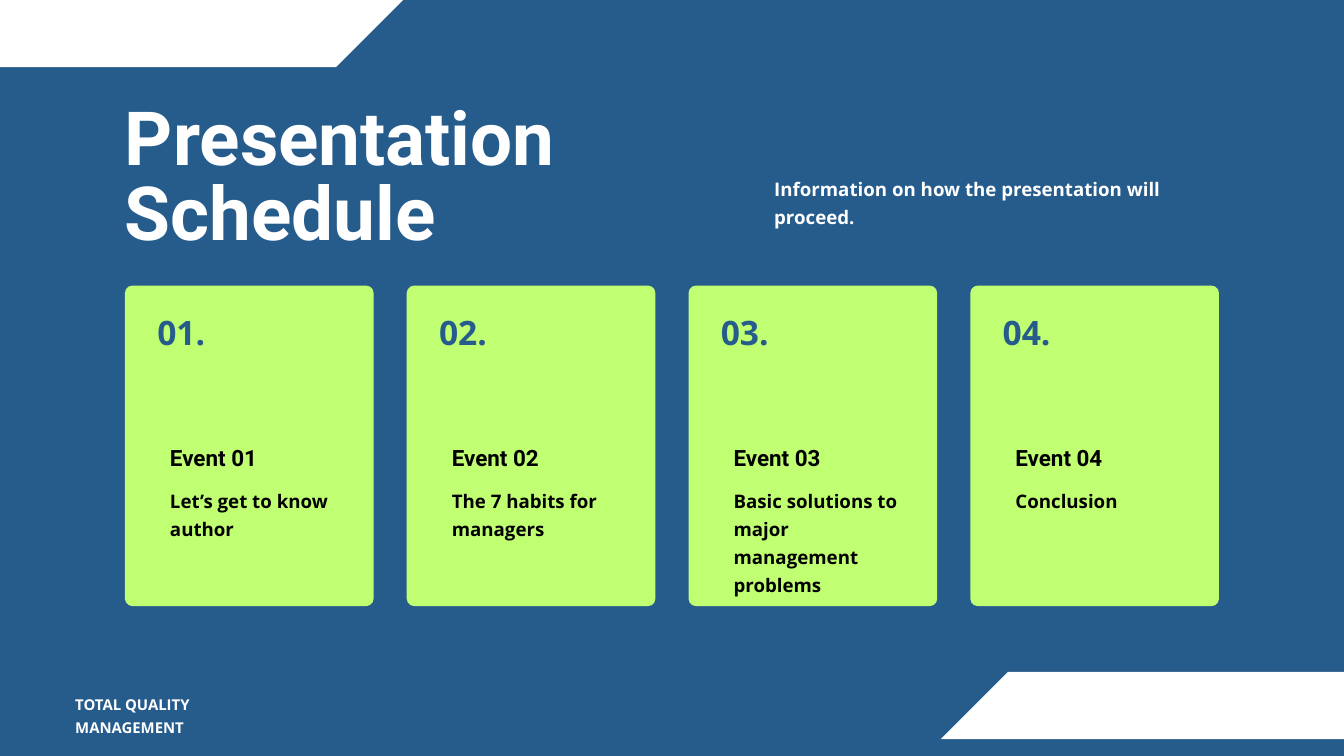
import dataclasses
import pptx
import pptx.dml.color
import pptx.enum.shapes
import pptx.enum.text
import pptx.util

RGB = pptx.dml.color.RGBColor
BLUE = RGB(0x25, 0x5C, 0x8C)
LIME = RGB(0xC1, 0xFF, 0x72)
WHITE = RGB(0xFF, 0xFF, 0xFF)
BLACK = RGB(0, 0, 0)

COLS, ROWS = 20, 11.25
UNIT = pptx.util.Inches(1)
EDGE, WIDE, TALL, TOP = 1.86, 3.7, 4.77, 4.25
BAND = [(-1.04, 0.83), (-0.19, 0), (6.25, 0), (5.4, 0.83)]


@dataclasses.dataclass(frozen=True)
class Box:
    """A place on the grid, in columns and rows."""
    col: float
    row: float
    wide: float
    tall: float

    def span(self) -> list[int]:
        """Give left, top, width and height as lengths."""
        return [round(n * UNIT) for n in dataclasses.astuple(self)]


@dataclasses.dataclass(frozen=True)
class Event:
    """One card of the schedule."""
    num: str
    body: str
    numwide: float
    wide: float
    tall: float


EVENTS = [
    Event("01", "Let’s get to know author", 0.98, 2.54, 0.82),
    Event("02", "The 7 habits for managers", 1.2, 2.55, 0.82),
    Event("03", "Basic solutions to major management problems", 1.24, 2.67, 1.24),
    Event("04", "Conclusion", 1.12, 2.58, 0.41),
]


def paint(shape, color: RGB) -> None:
    """Fill a shape flat, without line or shadow."""
    shape.shadow.inherit = False
    shape.fill.solid()
    shape.fill.fore_color.rgb = color
    shape.line.fill.background()


def write(slide, text: str, box: Box, *, size: float, lead: float,
          color: RGB = WHITE, face: str = "Open Sans") -> None:
    """Place bold text on the grid."""
    frame = slide.shapes.add_textbox(*box.span()).text_frame
    frame.word_wrap = True
    frame.auto_size = pptx.enum.text.MSO_AUTO_SIZE.SHAPE_TO_FIT_TEXT
    frame.margin_left = frame.margin_right = 0
    frame.margin_top = frame.margin_bottom = 0
    para = frame.paragraphs[0]
    para.line_spacing = pptx.util.Pt(lead)
    run = para.add_run()
    run.text = text
    run.font.name = face
    run.font.size = pptx.util.Pt(size)
    run.font.bold = True
    run.font.color.rgb = color


def band(slide, turn: bool) -> None:
    """Draw a corner band, turned half round on demand."""
    spots = [(COLS - x, ROWS - y) if turn else (x, y) for x, y in BAND]
    pen = slide.shapes.build_freeform(*spots[0], scale=UNIT)
    pen.add_line_segments(spots[1:], close=True)
    paint(pen.convert_to_shape(), WHITE)


def card(slide, event: Event, left: float) -> None:
    """Draw one event card with its texts."""
    kind = pptx.enum.shapes.MSO_SHAPE.ROUNDED_RECTANGLE
    panel = slide.shapes.add_shape(kind, *Box(left, TOP, WIDE, TALL).span())
    panel.adjustments[0] = 0.03
    paint(panel, LIME)
    write(slide, f"{event.num}.", Box(left + 0.48, TOP + 0.2, event.numwide, 0.73),
          size=36, lead=56.5, color=BLUE)
    write(slide, f"Event {event.num}", Box(left + 0.67, TOP + 2.39, 2.37, 0.38),
          size=24, lead=26.4, color=BLACK, face="Roboto")
    write(slide, event.body, Box(left + 0.67, TOP + 2.95, event.wide, event.tall),
          size=20, lead=30, color=BLACK)


def main() -> None:
    """Build the schedule slide."""
    deck = pptx.Presentation()
    deck.slide_width = round(COLS * UNIT)
    deck.slide_height = round(ROWS * UNIT)
    slide = deck.slides.add_slide(deck.slide_layouts[6])
    slide.background.fill.solid()
    slide.background.fill.fore_color.rgb = BLUE
    for turn in (False, True):
        band(slide, turn)
    step = (COLS - 2 * EDGE - WIDE) / (len(EVENTS) - 1)
    for i, event in enumerate(EVENTS):
        card(slide, event, EDGE + i * step)
    write(slide, "TOTAL QUALITY MANAGEMENT", Box(1.12, 10.29, 3.3, 0.3),
          size=16, lead=24)
    write(slide, "Presentation Schedule", Box(EDGE, 1.58, 8.69, 2.27),
          size=80, lead=80, face="Roboto")
    write(slide, "Information on how the presentation will proceed.",
          Box(11.52, 2.56, 6.8, 0.41), size=20, lead=30)
    deck.save("out.pptx")


if __name__ == "__main__":
    main()
